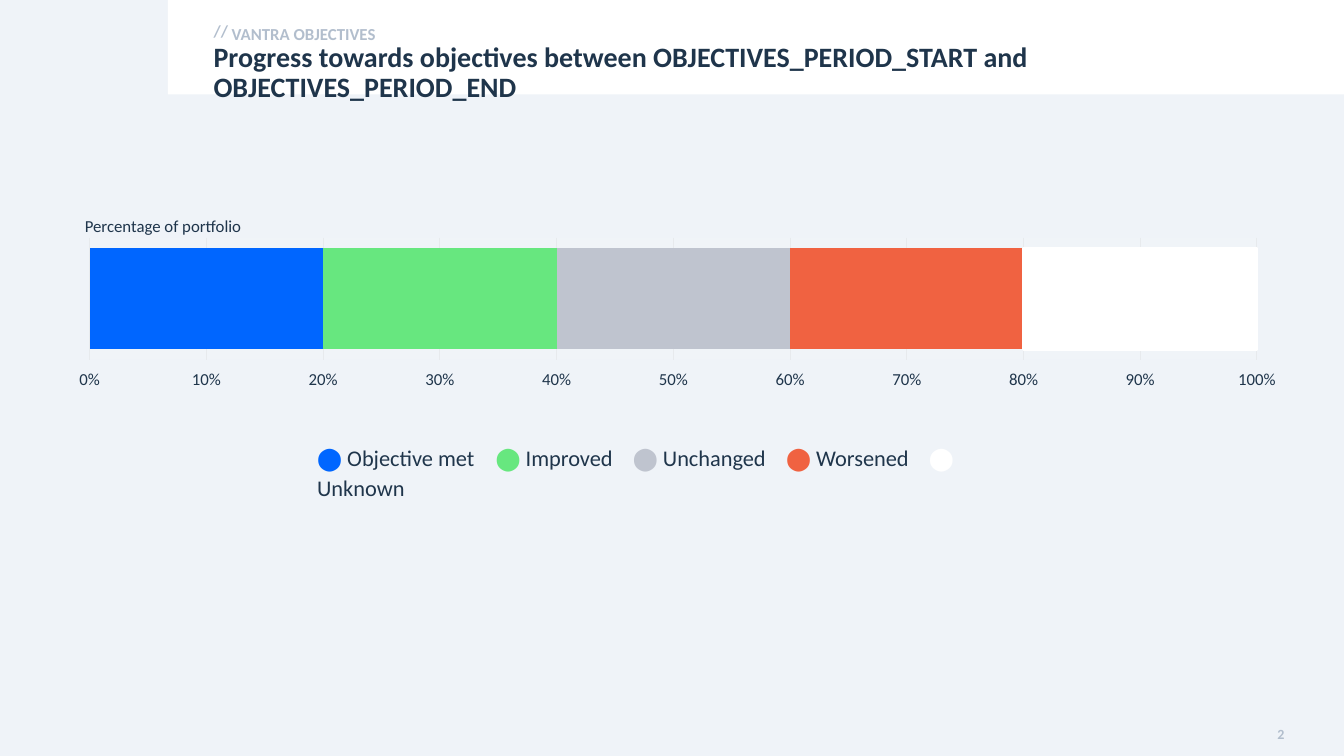
from dataclasses import dataclass

from lxml import etree
from pptx import Presentation
from pptx.chart.data import CategoryChartData
from pptx.dml.color import RGBColor
from pptx.enum import chart as ce, shapes, text
from pptx.oxml import ns
from pptx.util import Pt

FONT = "Calibri"
NAVY = RGBColor(0x1F, 0x35, 0x4B)
MIST = RGBColor(0xB2, 0xBE, 0xCD)
PALE = RGBColor(0xEF, 0xF3, 0xF8)
PLOT = RGBColor(0xF0, 0xF4, 0xF8)
GRID = RGBColor(0xE7, 0xEA, 0xED)
WHITE = RGBColor(0xFF, 0xFF, 0xFF)
BLUE = RGBColor(0x00, 0x66, 0xFF)
GREEN = RGBColor(0x67, 0xE7, 0x7F)
GREY = RGBColor(0xBF, 0xC4, 0xCF)
RED = RGBColor(0xF0, 0x62, 0x41)


@dataclass
class Box:
    left: float
    top: float
    width: float
    height: float

    def points(self) -> tuple:
        return Pt(self.left), Pt(self.top), Pt(self.width), Pt(self.height)


@dataclass
class Status:
    name: str
    share: float
    color: RGBColor
    stop: float  # legend tab position that follows the entry


@dataclass
class Label:
    words: str
    box: Box
    size: float
    color: RGBColor
    bold: bool = False
    align: text.PP_ALIGN = text.PP_ALIGN.LEFT
    anchor: text.MSO_ANCHOR = text.MSO_ANCHOR.TOP
    inset: tuple = (7.2, 3.6, 7.2, 3.6)
    line: float = 1.0


STATES = [
    Status("Objective met", 20, BLUE, 127.5),
    Status("Improved", 20, GREEN, 225.5),
    Status("Unchanged", 20, GREY, 335),
    Status("Worsened", 20, RED, 437),
    Status("Unknown", 20, WHITE, 0),
]

TITLE = Label(
    "Progress towards objectives between OBJECTIVES_PERIOD_START and OBJECTIVES_PERIOD_END",
    Box(152.5, 31, 772.5, 22.5), 20, NAVY, True, inset=(0, 0, 0, 0), line=0.9)
TOPIC = Label("VANTRA OBJECTIVES", Box(165.5, 13.5, 759, 17.5), 12, MIST, True,
              inset=(0, 1.5, 7.2, 0), line=1.14)
LABELS = [
    Label("//", Box(145.5, 11.5, 26.5, 21.5), 12, MIST, True,
          anchor=text.MSO_ANCHOR.MIDDLE),
    Label("2", Box(905, 515.5, 19.5, 18.5), 10, MIST, True, text.PP_ALIGN.RIGHT,
          text.MSO_ANCHOR.MIDDLE, (0, 3, 7.2, 3.6)),
    Label("Percentage of portfolio", Box(53.5, 149, 127.5, 23), 12, NAVY, line=1.13),
]
LEGEND = Label("", Box(219.5, 311, 520.5, 50), 16, NAVY, line=1.13)


def style(shape, label: Label):
    """Place a text shape, fill it and return its paragraph."""
    shape.left, shape.top, shape.width, shape.height = label.box.points()
    frame = shape.text_frame
    frame.word_wrap = True
    frame.auto_size = text.MSO_AUTO_SIZE.NONE
    frame.vertical_anchor = label.anchor
    (frame.margin_left, frame.margin_top,
     frame.margin_right, frame.margin_bottom) = map(Pt, label.inset)
    frame.text = label.words
    para = frame.paragraphs[0]
    para.alignment = label.align
    para.line_spacing = label.line
    para.space_before = Pt(0)
    font = para.font
    font.name, font.size, font.bold = FONT, Pt(label.size), label.bold
    font.color.rgb = label.color
    return para


def add_text(slide, label: Label):
    return style(slide.shapes.add_textbox(*label.box.points()), label)


def add_band(slide) -> None:
    """Draw the white header behind the placeholders."""
    box = Box(120, 0, 840, 67.5)
    band = slide.shapes.add_shape(shapes.MSO_SHAPE.RECTANGLE, *box.points())
    band.shadow.inherit = False
    band.fill.solid()
    band.fill.fore_color.rgb = WHITE
    band.line.fill.background()
    band.element.getparent().insert(2, band.element)


def add_legend(slide) -> None:
    para = add_text(slide, LEGEND)
    tabs = etree.Element(ns.qn("a:tabLst"))
    for state in STATES[:-1]:
        etree.SubElement(tabs, ns.qn("a:tab"), pos=str(Pt(state.stop)), algn="l")
    para._p.pPr.find(ns.qn("a:defRPr")).addprevious(tabs)
    for state in STATES:
        last = state is STATES[-1]
        dot = para.add_run()
        dot.text = "⬤"
        dot.font.color.rgb = state.color
        if last:
            para.add_line_break()
        para.add_run().text = state.name if last else f" {state.name}\t"


def add_bar(slide) -> None:
    data = CategoryChartData(number_format="0")
    data.categories = ["1"]
    for num, state in enumerate(STATES, 1):
        data.add_series(f"Series {num}", [state.share])
    box = Box(37.5, 166.5, 887, 114.5)
    chart = slide.shapes.add_chart(
        ce.XL_CHART_TYPE.BAR_STACKED_100, *box.points(), data).chart
    chart.has_legend = chart.has_title = False
    chart.font.name, chart.font.size = FONT, Pt(12)
    chart.font.color.rgb = NAVY
    chart.category_axis.visible = False
    axis = chart.value_axis
    axis.minimum_scale, axis.maximum_scale, axis.major_unit = 0, 1, 0.1
    axis.tick_labels.number_format = "0%"
    axis.tick_labels.number_format_is_linked = False
    axis.format.line.fill.background()
    axis.major_gridlines.format.line.color.rgb = GRID
    axis.major_gridlines.format.line.width = Pt(0.75)
    plot = chart.plots[0]
    plot.gap_width, plot.overlap, plot.vary_by_categories = 20, 100, False
    for bar, state in zip(plot.series, STATES):
        bar.format.fill.solid()
        bar.format.fill.fore_color.rgb = state.color
        if state.color == WHITE:
            bar.format.line.color.rgb = WHITE
            bar.format.line.width = Pt(1.5)
    area = chart.element.find(".//" + ns.qn("c:plotArea"))
    for old in area.findall(ns.qn("c:layout")):
        area.remove(old)
    area.insert(0, build(
        '<c:layout {}><c:manualLayout><c:layoutTarget val="inner"/>'
        '<c:xMode val="edge"/><c:yMode val="edge"/><c:x val="0.03"/><c:y val="0.03"/>'
        '<c:w val="0.94"/><c:h val="0.76"/></c:manualLayout></c:layout>'))
    area.append(build('<c:spPr {}><a:solidFill><a:srgbClr val="'
                      + str(PLOT) + '"/></a:solidFill></c:spPr>'))


def build(markup: str):
    """Make an XML element, with the chart namespaces put in at {}."""
    return etree.fromstring(markup.format(ns.nsdecls("c", "a")))


def main() -> None:
    deck = Presentation()
    deck.slide_width, deck.slide_height = Pt(960), Pt(540)
    slide = deck.slides.add_slide(deck.slide_layouts[1])
    slide.background.fill.solid()
    slide.background.fill.fore_color.rgb = PALE
    add_band(slide)
    style(slide.shapes.title, TITLE)
    topic = style(slide.placeholders[1], TOPIC)
    topic.space_after = Pt(6)
    props = topic._p.pPr
    props.set("marL", "0")
    props.set("indent", "0")
    props.find(ns.qn("a:defRPr")).addprevious(etree.Element(ns.qn("a:buNone")))
    add_bar(slide)
    for label in LABELS:
        add_text(slide, label)
    add_legend(slide)
    deck.save("out.pptx")


if __name__ == "__main__":
    main()
